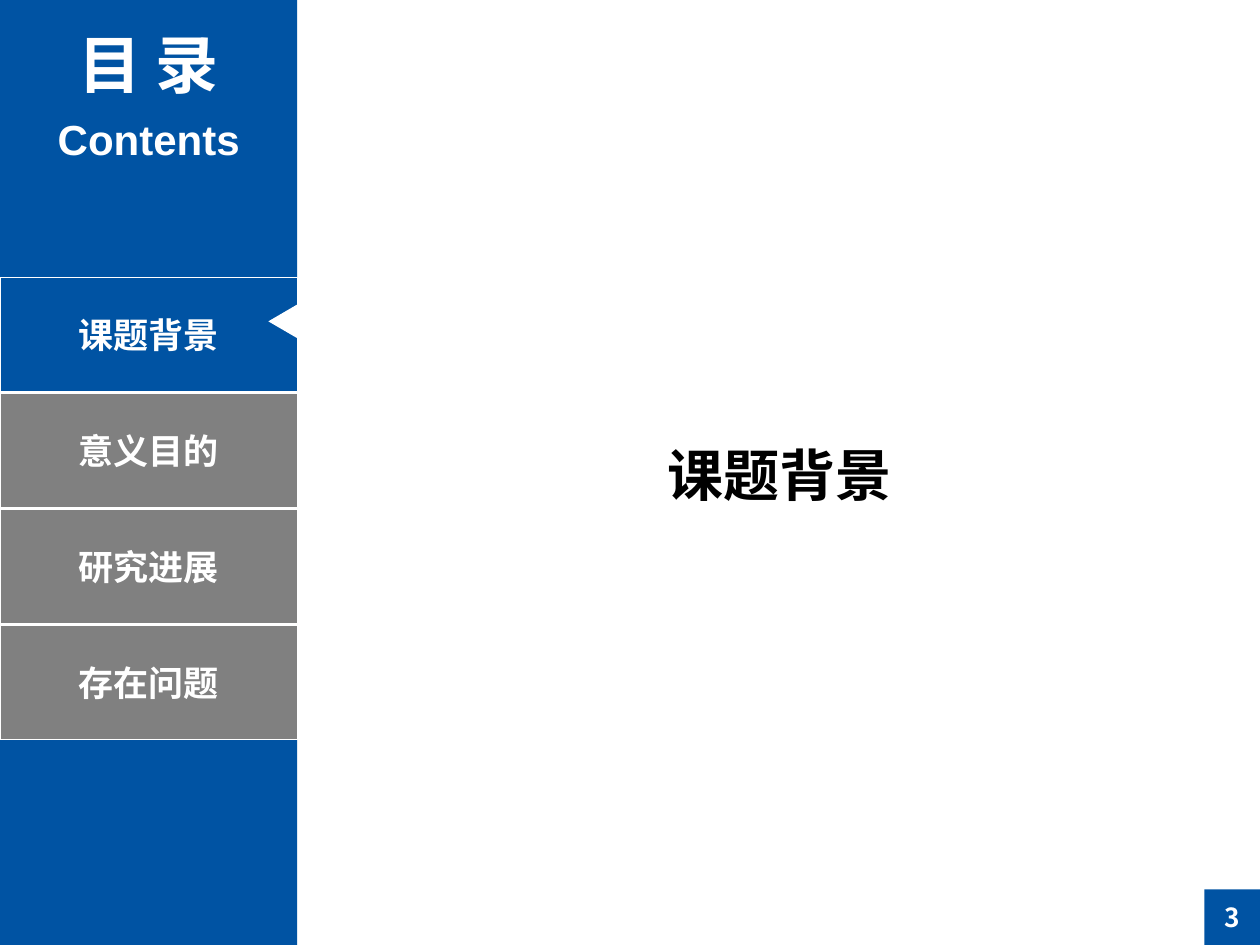
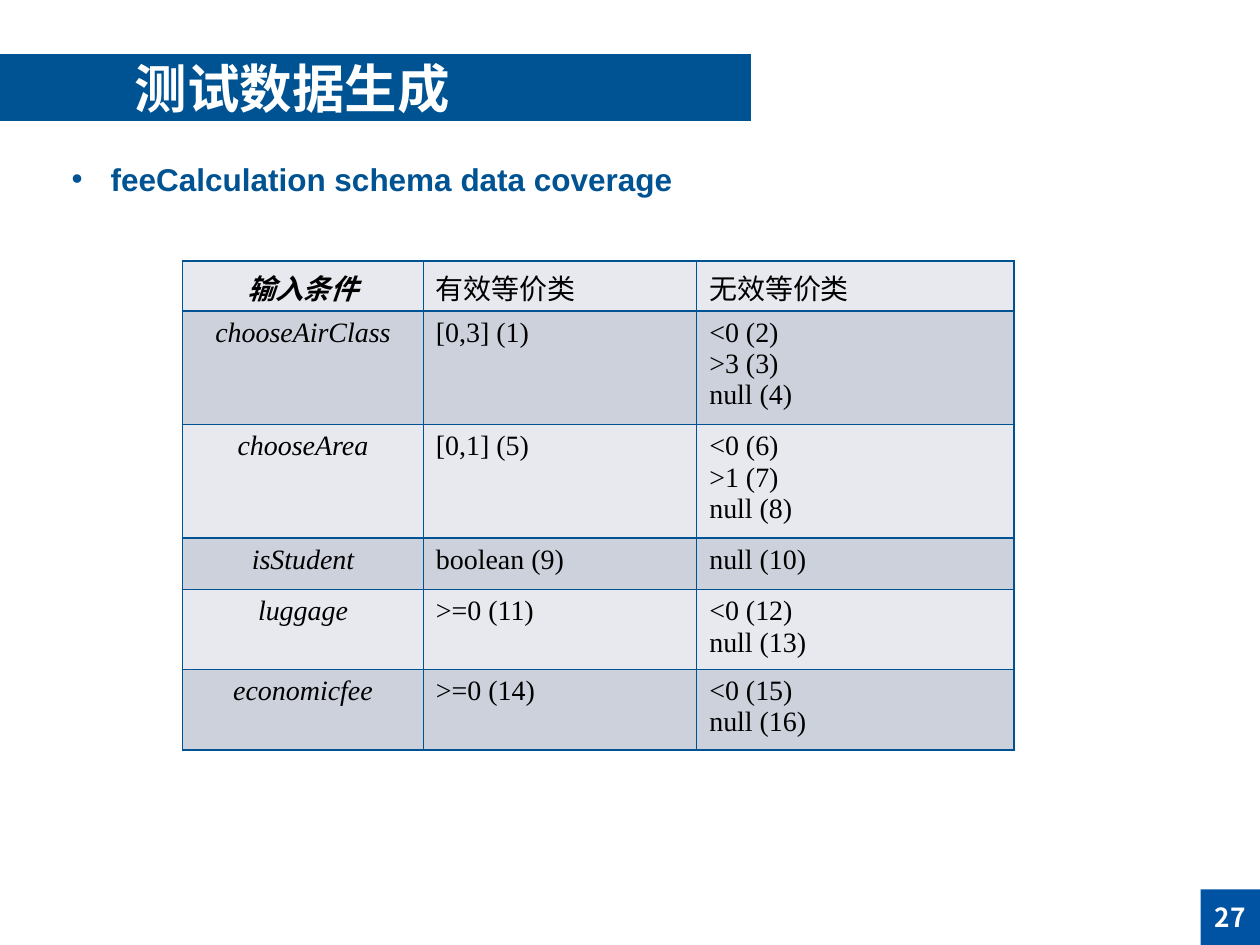
from pptx import Presentation
from pptx.dml.color import RGBColor as Rgb
from pptx.enum.shapes import MSO_SHAPE as Kind
from pptx.enum.text import MSO_ANCHOR as Anchor, MSO_AUTO_SIZE as Fit, PP_ALIGN as Align
from pptx.oxml import parse_xml
from pptx.oxml.ns import nsdecls, qn
from pptx.util import Inches, Pt
from lxml.etree import SubElement

HUES = {
    "blue": "0053A3", "navy": "005392", "gray": "808080", "white": "FFFFFF",
    "black": "000000", "light": "E7E9EE", "dark": "CCD1DC",
}
SANS = "Noto Sans CJK SC"
TOPICS = ["课题背景", "意义目的", "研究进展", "存在问题"]
WIDTHS = [1.91, 2.17, 2.52]
HEIGHTS = [0.4, 0.9, 0.9, 0.41, 0.63, 0.64]
CLASSES = [
    ("输入条件", "有效等价类", "无效等价类"),
    ("chooseAirClass", "[0,3] (1)", "<0 (2)\n>3 (3)\nnull (4)"),
    ("chooseArea", "[0,1] (5)", "<0 (6)\n>1 (7)\nnull (8)"),
    ("isStudent", "boolean (9)", "null (10)"),
    ("luggage", ">=0 (11)", "<0 (12)\nnull (13)"),
    ("economicfee", ">=0 (14)", "<0 (15)\nnull (16)"),
]


def hue(name):
    return Rgb.from_string(HUES[name])


class Deck:
    def __init__(self):
        self.show = Presentation()
        self.show.slide_width = Inches(10)
        self.show.slide_height = Inches(7.5)
        self.slide = None

    def start(self):
        self.slide = self.show.slides.add_slide(self.show.slide_layouts[6])

    def put(self, frame, text, size, font=SANS, color="white",
            bold=True, slant=False, align=Align.CENTER):
        frame.text = text
        for para in frame.paragraphs:
            para.alignment = align
            for run in para.runs:
                face = run.font
                face.size, face.bold, face.italic = Pt(size), bold, slant
                face.color.rgb = hue(color)
                face.name = font
                east = font if font.startswith("Noto") else SANS
                SubElement(run._r.get_or_add_rPr(), qn("a:ea")).set("typeface", east)

    def shape(self, box, fill, kind=Kind.RECTANGLE, edge=None):
        item = self.slide.shapes.add_shape(kind, *map(Inches, box))
        item.shadow.inherit = False
        item.fill.solid()
        item.fill.fore_color.rgb = hue(fill)
        if edge:
            item.line.color.rgb = hue(edge)
            item.line.width = Pt(0.75)
        else:
            item.line.fill.background()
        item.text_frame.vertical_anchor = Anchor.MIDDLE
        return item

    def label(self, box, text, size, wrap=True, **style):
        frame = self.slide.shapes.add_textbox(*map(Inches, box)).text_frame
        frame.word_wrap = wrap
        frame.auto_size = Fit.SHAPE_TO_FIT_TEXT
        self.put(frame, text, size, **style)
        return frame

    def bullet(self, box, text, size, **style):
        frame = self.label(box, text, size, wrap=False, align=Align.LEFT, **style)
        props = frame.paragraphs[0]._p.get_or_add_pPr()
        props.set("marL", str(Inches(0.31)))
        props.set("indent", str(-Inches(0.31)))
        SubElement(props, qn("a:buFont")).set("typeface", "Arial")
        SubElement(props, qn("a:buChar")).set("char", "•")

    def title(self, text):
        frame = self.shape((0, 0.43, 5.96, 0.53), "navy").text_frame
        frame.margin_left = Inches(1.07)
        frame.margin_right = Inches(0.07)
        frame.margin_top = frame.margin_bottom = Inches(0.04)
        self.put(frame, text, 30, font="Noto Sans CJK JP", align=Align.LEFT)

    def number(self, text, width):
        item = self.shape((10 - width, 7.06, width, 0.44), "blue")
        item.text_frame.word_wrap = False
        self.put(item.text_frame, text, 15)

    def border(self, cell):
        props = cell._tc.get_or_add_tcPr()
        for side in "LRTB":
            props.append(parse_xml(
                f'<a:ln{side} {nsdecls("a")} w="{Pt(1)}"><a:solidFill>'
                f'<a:srgbClr val="{HUES["navy"]}"/></a:solidFill></a:ln{side}>'))

    def table(self, left, top, rows, widths, heights):
        size = map(Inches, (left, top, sum(widths), sum(heights)))
        grid = self.slide.shapes.add_table(len(rows), len(widths), *size).table
        for col, width in zip(grid.columns, widths):
            col.width = Inches(width)
        for y, (row, height) in enumerate(zip(rows, heights)):
            grid.rows[y].height = Inches(height)
            for x, text in enumerate(row):
                cell = grid.cell(y, x)
                self.border(cell)
                cell.fill.solid()
                cell.fill.fore_color.rgb = hue("dark" if y % 2 else "light")
                self.put(cell.text_frame, text, 16, font="Times New Roman",
                         color="black", bold=x == y == 0, slant=x == 0,
                         align=Align.LEFT if x else Align.CENTER)


def contents(deck, active, page):
    deck.start()
    deck.shape((0, 0, 2.36, 7.5), "blue")
    deck.label((0.12, 0.15, 2.12, 0.71), "目 录", 36, font="Arial")
    deck.label((0.12, 0.85, 2.12, 0.5), "Contents", 24, font="Arial")
    for i, topic in enumerate(TOPICS):
        fill = "blue" if i == active else "gray"
        item = deck.shape((0, 2.2 + 0.92 * i, 2.36, 0.91), fill, edge="white")
        deck.put(item.text_frame, topic, 20)
    mark = deck.shape((2.11, 2.43 + 0.92 * active, 0.28, 0.24), "white",
                      Kind.ISOSCELES_TRIANGLE)
    mark.rotation = 270
    deck.number(page, 0.44)
    deck.label((4.33, 3.45, 3.72, 0.64), TOPICS[active], 32, color="black")


def coverage(deck, page):
    deck.start()
    deck.title("测试数据生成")
    deck.number(page, 0.47)
    deck.bullet((0.47, 1.22, 5.02, 0.4), "feeCalculation schema data coverage",
                18, font="Arial", color="navy")
    deck.table(1.45, 2.07, CLASSES, WIDTHS, HEIGHTS)


def main():
    deck = Deck()
    contents(deck, 0, "3")
    coverage(deck, "27")
    deck.show.save("out.pptx")


if __name__ == "__main__":
    main()
